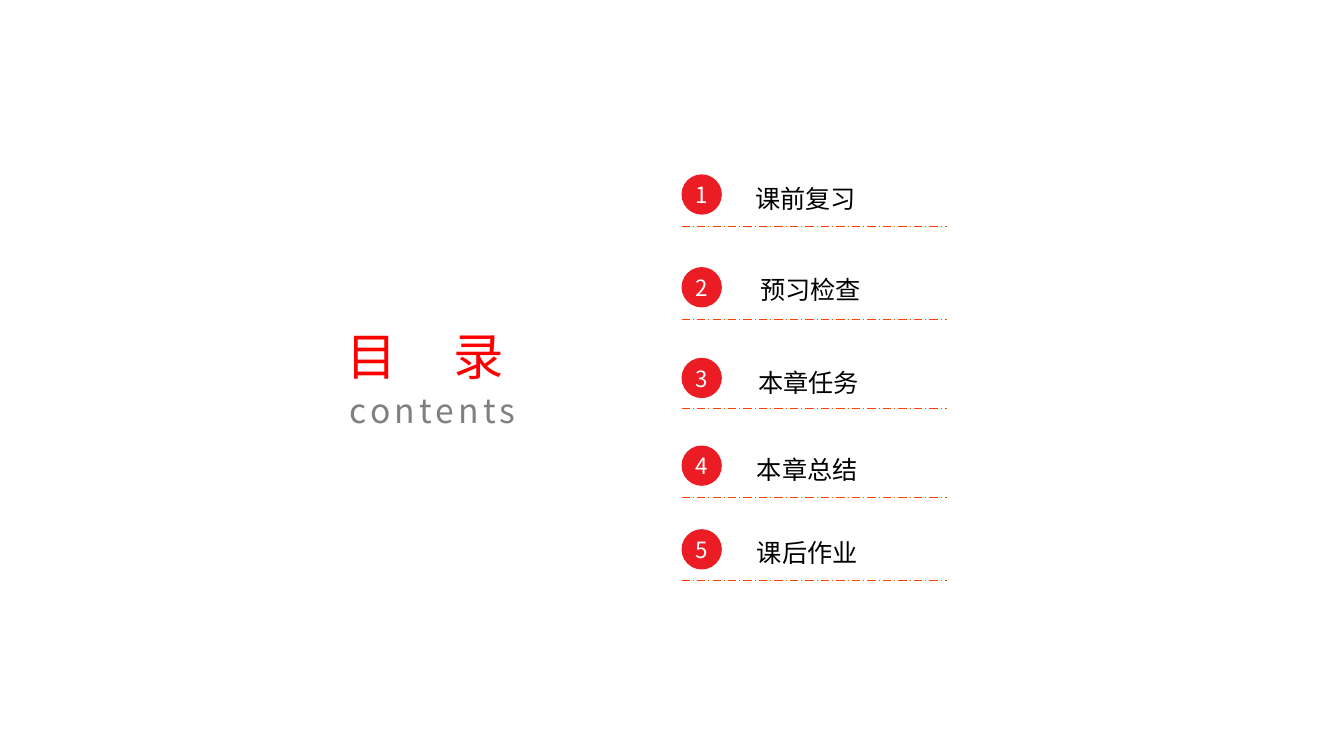
from dataclasses import dataclass
from lxml import etree
from pptx import Presentation
from pptx.dml.color import RGBColor
from pptx.enum import dml, shapes, text
from pptx.oxml.ns import qn
from pptx.util import Inches, Pt

# Content: label, circle top, label left, label top, label width, rule height
ITEMS = [
    ("课前复习", 1.73, 7.39, 1.77, 1.21, 2.25),
    ("预习检查", 2.65, 7.44, 2.67, 1.21, 3.17),
    ("本章任务", 3.55, 7.42, 3.59, 2.34, 4.05),
    ("本章总结", 4.42, 7.41, 4.46, 2.34, 4.94),
    ("课后作业", 5.25, 7.41, 5.28, 2.34, 5.76),
]
# Each run: words, letter spacing in points
TITLE = [("目", 0), (" ", 32.2), ("录", 0)]
SUB = [("contents", 3)]
LEFT, RIGHT, DOT = 6.76, 9.39, 0.4


@dataclass
class Theme:
    font: str = "Noto Sans CJK SC"
    title: tuple = (36, "FF0000")
    sub: tuple = (24, "808080")
    num: tuple = (16, "FFFFFF")
    label: tuple = (18, "000000")
    dot: str = "EC1C24"
    rule: str = "FF4200"


THEME = Theme()


def rgb(code):
    return RGBColor.from_string(code)


def write(box, runs, style, align=text.PP_ALIGN.LEFT, wrap=False):
    size, color = style
    frame = box.text_frame
    frame.word_wrap = wrap
    frame.auto_size = text.MSO_AUTO_SIZE.SHAPE_TO_FIT_TEXT
    frame.vertical_anchor = text.MSO_ANCHOR.TOP
    par = frame.paragraphs[0]
    par.alignment = align
    for words, gap in runs:
        run = par.add_run()
        run.text = words
        run.font.size = Pt(size)
        run.font.color.rgb = rgb(color)
        run.font.name = THEME.font
        props = run.font._element
        east = etree.Element(qn("a:ea"), typeface=THEME.font)
        props.find(qn("a:latin")).addnext(east)
        if gap:
            props.set("spc", str(round(gap * 100)))


def place(slide, left, top, width, height):
    return slide.shapes.add_textbox(
        Inches(left), Inches(top), Inches(width), Inches(height))


def add_dot(slide, top):
    dot = slide.shapes.add_shape(
        shapes.MSO_SHAPE.OVAL, Inches(LEFT), Inches(top), Inches(DOT), Inches(DOT))
    dot.shadow.inherit = False
    dot.fill.solid()
    dot.fill.fore_color.rgb = rgb(THEME.dot)
    dot.line.fill.background()


def add_rule(slide, y):
    rule = slide.shapes.add_connector(
        shapes.MSO_CONNECTOR.STRAIGHT,
        Inches(LEFT), Inches(y), Inches(RIGHT), Inches(y))
    rule.line.color.rgb = rgb(THEME.rule)
    rule.line.width = Pt(0.75)
    rule.line.dash_style = dml.MSO_LINE.LONG_DASH_DOT
    etree.SubElement(rule._element.spPr, qn("a:effectLst"))


def main():
    deck = Presentation()
    deck.slide_width, deck.slide_height = Inches(13.33), Inches(7.5)
    slide = deck.slides.add_slide(deck.slide_layouts[5])

    # Heading
    head = slide.shapes.title
    head.left, head.top = Inches(3.34), Inches(3.18)
    head.width, head.height = Inches(1.96), Inches(0.71)
    write(head, TITLE, THEME.title)
    write(place(slide, 3.37, 3.82, 1.93, 0.5), SUB, THEME.sub)

    # Numbered list
    for num, (label, top, left, line, width, y) in enumerate(ITEMS, 1):
        add_dot(slide, top)
        write(place(slide, LEFT + 0.04, top + 0.02, 0.31, 0.37),
              [(str(num), 0)], THEME.num, text.PP_ALIGN.CENTER)
        write(place(slide, left, line, width, 0.4),
              [(label, 0)], THEME.label, wrap=width > 2)
        add_rule(slide, y)

    deck.save("out.pptx")


if __name__ == "__main__":
    main()
